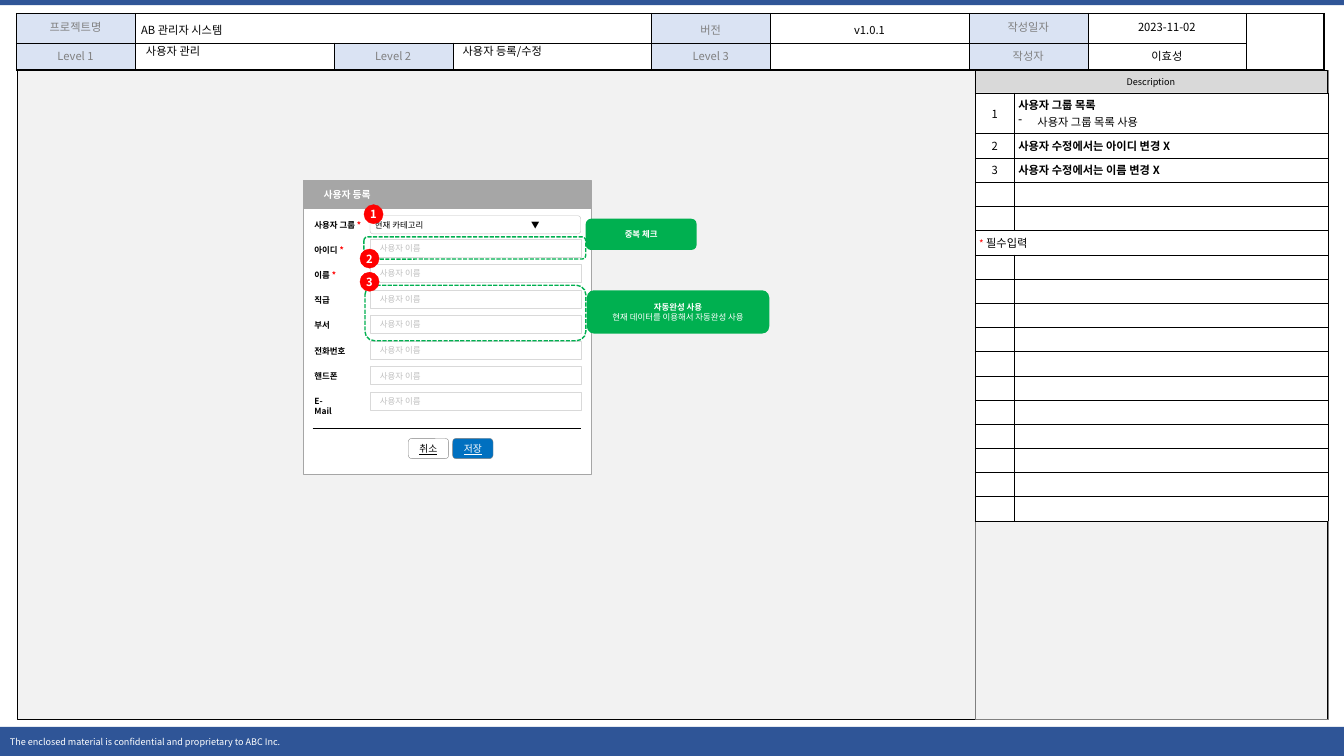
"""Builds the user registration screen specification slide."""
from dataclasses import dataclass

from lxml.etree import SubElement
from pptx import Presentation
from pptx.dml.color import RGBColor
from pptx.enum.dml import MSO_LINE
from pptx.enum.shapes import MSO_CONNECTOR, MSO_SHAPE
from pptx.enum.text import MSO_ANCHOR, PP_ALIGN
from pptx.oxml.ns import qn
from pptx.util import Inches, Pt


@dataclass(frozen=True)
class Theme:
    font: str = "Noto Sans CJK KR"
    navy: str = "2F5597"
    pale_blue: str = "DAE3F3"
    blue: str = "0070C0"
    green: str = "00B050"
    red: str = "FF0000"
    black: str = "000000"
    white: str = "FFFFFF"
    gray: str = "808080"
    title_gray: str = "A6A6A6"
    hint_gray: str = "BFBFBF"
    light_gray: str = "D9D9D9"
    canvas_gray: str = "F2F2F2"
    body: float = 8
    button: float = 7
    caption: float = 6.5
    form: float = 6


theme = Theme()
RECT, ROUND, OVAL = MSO_SHAPE.RECTANGLE, MSO_SHAPE.ROUNDED_RECTANGLE, MSO_SHAPE.OVAL
LEFT, CENTER = PP_ALIGN.LEFT, PP_ALIGN.CENTER

deck = Presentation()
deck.slide_width, deck.slide_height = Inches(13.33), Inches(7.5)
page = deck.slides.add_slide(deck.slide_layouts[6])


def write(frame, lines, size, align=LEFT):
    """Fill a frame with lines made of (text, colour, bold) runs."""
    for index, line in enumerate(lines):
        para = frame.add_paragraph() if index else frame.paragraphs[0]
        para.alignment = align
        for text, color, bold in line:
            span = para.add_run()
            span.text = text
            span.font.size, span.font.bold = Pt(size), bold
            span.font.color.rgb = RGBColor.from_string(color)
            span.font.name = theme.font
            SubElement(span.font._element, qn("a:ea"), typeface=theme.font)


def add_box(kind, place, fill=None, line=None, lines=(), size=theme.form,
            align=LEFT, insets=(0, 0), weight=0.25):
    """Add a preset shape with its fill, outline and text."""
    box = page.shapes.add_shape(kind, *map(Inches, place))
    box.shadow.inherit = False
    if fill:
        box.fill.solid()
        box.fill.fore_color.rgb = RGBColor.from_string(fill)
    else:
        box.fill.background()
    if line:
        box.line.color.rgb = RGBColor.from_string(line)
        box.line.width = Pt(weight)
    else:
        box.line.fill.background()
    frame = box.text_frame
    frame.word_wrap, frame.vertical_anchor = True, MSO_ANCHOR.MIDDLE
    frame.margin_left, frame.margin_right = map(Inches, insets)
    frame.margin_top = frame.margin_bottom = 0
    write(frame, lines, size, align)
    return box


add_box(RECT, (0, 0, 13.33, 0.05), theme.navy)
add_box(RECT, (0, 7.21, 13.33, 0.29), theme.navy, insets=(0.1, 0.1), size=theme.caption,
        lines=[[("The enclosed material is confidential and proprietary to ABC Inc.",
                 theme.white, False)]])

header_rows = [
    ["프로젝트명", "AB 관리자 시스템", "", "", "버전", "v1.0.1", "작성일자", "2023-11-02", ""],
    ["Level 1", "", "Level 2", "", "Level 3", "", "작성자", "이효성", ""],
]
header = page.shapes.add_table(2, 9, Inches(0.16), Inches(0.13), Inches(12.97), Inches(0.55)).table
for column, width in zip(header.columns, [1.18, 1.97] * 3 + [1.18, 1.57, 0.77]):
    column.width = Inches(width)
header.rows[0].height, header.rows[1].height = Inches(0.28), Inches(0.27)
header.cell(0, 1).merge(header.cell(0, 3))
header.cell(0, 8).merge(header.cell(1, 8))

add_box(RECT, (0.17, 0.7, 12.99, 6.44), theme.canvas_gray, theme.black)
add_box(RECT, (9.67, 0.7, 3.5, 6.44), None, theme.gray)
add_box(RECT, (9.67, 0.7, 3.49, 0.22), theme.light_gray, theme.black,
        [[("Description", theme.black, False)]], theme.caption, CENTER)

notes = page.shapes.add_table(17, 2, Inches(9.67), Inches(0.92), Inches(3.5), Inches(4.24)).table
notes.columns[0].width, notes.columns[1].width = Inches(0.39), Inches(3.11)
for index, row in enumerate(notes.rows):
    row.height = Inches(0.24 if index else 0.4)
notes.cell(5, 0).merge(notes.cell(5, 1))

for table, insets, anchor in [(header, (0.06, 0.05), MSO_ANCHOR.TOP),
                              (notes, (0.04, 0.04), MSO_ANCHOR.MIDDLE)]:
    table.first_row = table.horz_banding = False
    for cell in table.iter_cells():
        cell.margin_left = cell.margin_right = Inches(insets[0])
        cell.margin_top = cell.margin_bottom = Inches(insets[1])
        cell.vertical_anchor = anchor
        properties = cell._tc.get_or_add_tcPr()
        for side in ("lnL", "lnR", "lnT", "lnB"):
            thick = table is header and (
                (side == "lnB" and cell._tc.row_idx == 1)
                or (side == "lnR" and cell._tc.col_idx == 8)
                or (side == "lnB" and cell.is_merge_origin and cell._tc.col_idx == 8))
            border = SubElement(properties, qn(f"a:{side}"), w=str(Pt(1.5 if thick else 0.25)))
            paint = SubElement(border, qn("a:solidFill"))
            SubElement(paint, qn("a:srgbClr"), val=theme.black)
        cell.fill.solid()
        cell.fill.fore_color.rgb = RGBColor.from_string(theme.white)

for row_index, row in enumerate(header_rows):
    for column_index, text in enumerate(row):
        cell = header.cell(row_index, column_index)
        is_label = column_index % 2 == 0 and text != ""
        if is_label:
            cell.fill.fore_color.rgb = RGBColor.from_string(theme.pale_blue)
        if text:
            color = theme.gray if is_label else theme.black
            align = LEFT if (row_index, column_index) == (0, 1) else CENTER
            write(cell.text_frame, [[(text, color, False)]], theme.body, align)
        if row_index == 0 and column_index in (1, 4, 5):
            cell.text_frame.paragraphs[0].line_spacing = 1.2

note_lines = [
    [[("사용자 그룹 목록", theme.black, True)], [("사용자 그룹 목록 사용", theme.black, False)]],
    [[("사용자 수정에서는 아이디 변경 X", theme.black, True)]],
    [[("사용자 수정에서는 이름 변경 X", theme.black, True)]],
]
for index, lines in enumerate(note_lines):
    write(notes.cell(index, 0).text_frame, [[(str(index + 1), theme.black, False)]],
          theme.body, CENTER)
    write(notes.cell(index, 1).text_frame, lines, theme.body)
bullet = notes.cell(0, 1).text_frame.paragraphs[1]._p.get_or_add_pPr()
bullet.set("marL", str(Inches(0.19)))
bullet.set("indent", str(-Inches(0.19)))
SubElement(bullet, qn("a:buChar"), char="-")
required = notes.cell(5, 0).text_frame
write(required, [[("*", theme.red, False), (" 필수입력", theme.black, False)]], theme.body)
required.paragraphs[0].runs[0].font.size = Pt(theme.button)

for table in (header, notes):
    for cell in table.iter_cells():
        if not cell.text_frame.text:
            SubElement(cell.text_frame.paragraphs[0]._p, qn("a:endParaRPr"),
                       sz=str(int(theme.body * 100)))

for left, text in [(1.35, "사용자 관리"), (4.49, "사용자 등록/수정")]:
    level = page.shapes.add_textbox(Inches(left), Inches(0.39), Inches(1.97), Inches(0.24))
    level.text_frame.word_wrap = True
    level.text_frame.vertical_anchor = MSO_ANCHOR.MIDDLE
    write(level.text_frame, [[(text, theme.black, False)]], theme.body)
    level.text_frame.paragraphs[0].line_spacing = 0.9

add_box(RECT, (3.01, 2.05, 2.85, 2.66), theme.white, theme.title_gray)
add_box(RECT, (3.01, 1.79, 2.85, 0.28), theme.title_gray, theme.title_gray,
        [[("사용자 등록", theme.white, True)]], theme.button, insets=(0.2, 0))

divider = page.shapes.add_connector(MSO_CONNECTOR.STRAIGHT, Inches(3.1), Inches(4.25),
                                    Inches(5.76), Inches(4.25))
divider.line.color.rgb = RGBColor.from_string(theme.black)
divider.line.width = Pt(0.5)
SubElement(divider._element.spPr, qn("a:effectLst"))

for left, text, fill, color in [(4.49, "저장", theme.blue, theme.white),
                                (4.05, "취소", theme.white, theme.black)]:
    button = add_box(ROUND, (left, 4.35, 0.4, 0.2), fill, theme.gray,
                     [[(text, color, False)]], theme.button, CENTER)
    button.text_frame.paragraphs[0].runs[0].font.underline = True

dropdown = add_box(ROUND, (3.67, 2.14, 2.09, 0.18), theme.white, theme.hint_gray,
                   [[("현재 카테고리\t▼", theme.black, False)]], insets=(0.04, 0.04))
tabs = SubElement(dropdown.text_frame.paragraphs[0]._p.get_or_add_pPr(), qn("a:tabLst"))
SubElement(tabs, qn("a:tab"), pos=str(Inches(1.55)), algn="l")

labels = [("사용자 그룹", 0.72, True), ("아이디", 0.52, True), ("이름", 0.44, True),
          ("직급", 0.37, False), ("부서", 0.37, False), ("전화번호", 0.54, False),
          ("핸드폰", 0.45, False), ("E-Mail", 0.45, False)]
for index, (text, width, is_required) in enumerate(labels):
    label = page.shapes.add_textbox(Inches(3.02), Inches(2.13 + 0.25 * index),
                                    Inches(width), Inches(0.2))
    label.text_frame.word_wrap = False
    spans = [(text + " ", theme.black, True), ("*", theme.red, True)]
    write(label.text_frame, [spans if is_required else [(text, theme.black, True)]], theme.form)
    if index:
        add_box(RECT, (3.67, 2.37 + 1.52 / 6 * (index - 1), 2.09, 0.18), theme.white,
                theme.light_gray, [[("사용자 이름", theme.hint_gray, False)]], insets=(0.1, 0.1))

for place in [(3.61, 2.35, 2.2, 0.22), (3.62, 2.83, 2.19, 0.55)]:
    add_box(ROUND, place, None, theme.green, weight=1).line.dash_style = MSO_LINE.SQUARE_DOT
add_box(ROUND, (5.81, 2.17, 1.1, 0.31), theme.green,
        lines=[[("중복 체크", theme.white, True)]], align=CENTER)
add_box(ROUND, (5.82, 2.88, 1.81, 0.43), theme.green, align=CENTER,
        lines=[[("자동완성 사용", theme.white, True)],
               [("현재 데이터를 이용해서 자동완성 사용", theme.white, False)]])

for number, (left, top) in enumerate([(3.61, 2.03), (3.57, 2.47), (3.57, 2.7)], 1):
    add_box(OVAL, (left, top, 0.19, 0.19), theme.red, theme.red,
            [[(str(number), theme.white, True)]], theme.body, CENTER)

deck.save("out.pptx")
